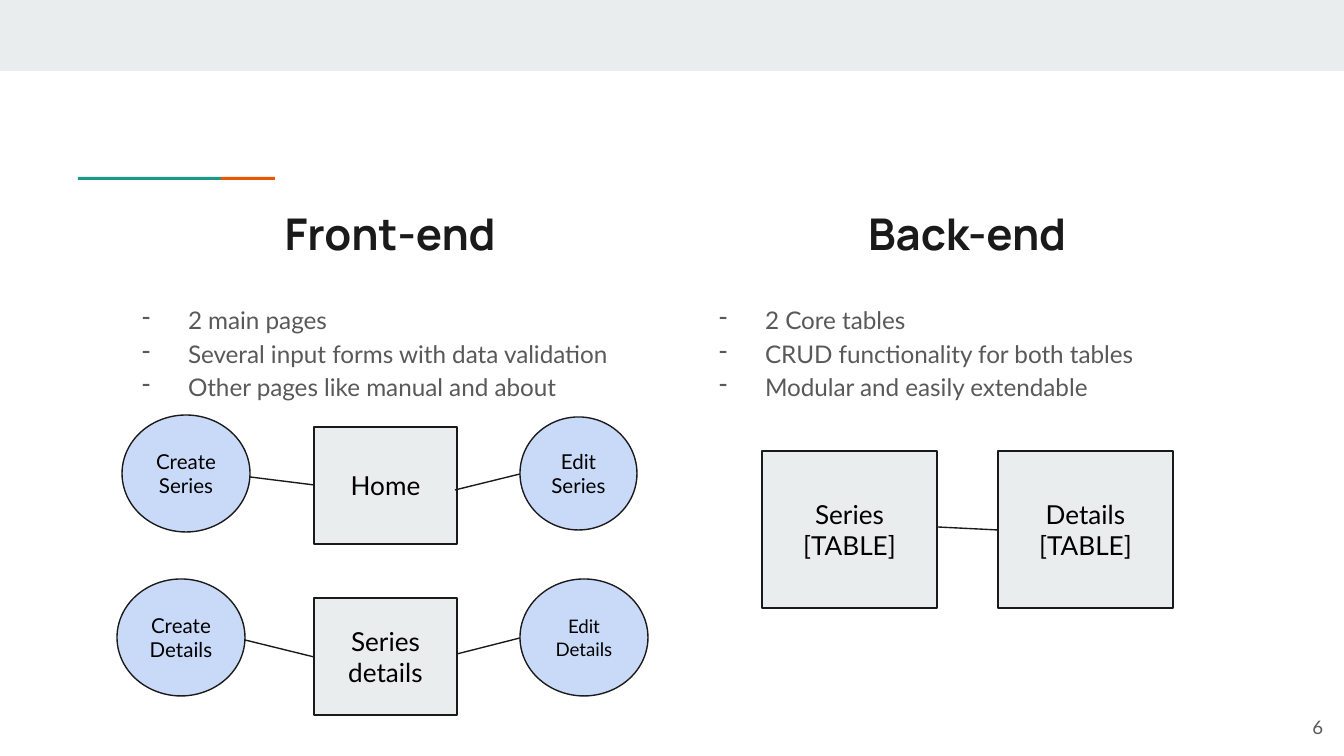
"""Build the front-end and back-end overview slide."""
from lxml.etree import SubElement
from pptx import Presentation
from pptx.dml.color import RGBColor
from pptx.enum.shapes import MSO_CONNECTOR, MSO_SHAPE
from pptx.enum.text import MSO_ANCHOR, PP_ALIGN
from pptx.oxml.ns import qn
from pptx.util import Pt

PX = 914400 / 134.4
INSET = 13
COLORS = {
    "band": "E9EDEE",
    "teal": "1A9988",
    "orange": "EB5600",
    "ink": "1A1A1A",
    "body": "595959",
    "label": "000000",
    "bubble": "C9DAF8",
}


def add_block(kind, bounds, fill=None, outlined=False):
    left, top, width, height = [round(value * PX) for value in bounds]
    if kind is None:
        return page.shapes.add_textbox(left, top, width, height)
    block = page.shapes.add_shape(kind, left, top, width, height)
    block.shadow.inherit = False
    block.fill.solid()
    block.fill.fore_color.rgb = RGBColor.from_string(COLORS[fill])
    if outlined:
        block.line.color.rgb = RGBColor.from_string(COLORS["ink"])
        block.line.width = Pt(0.75)
    else:
        block.line.fill.background()
    return block


def write(box, lines, size, color, align, anchor=MSO_ANCHOR.MIDDLE, font="Lato", bold=False):
    frame = box.text_frame
    frame.word_wrap = True
    frame.vertical_anchor = anchor
    frame.margin_left = frame.margin_right = round(INSET * PX)
    frame.margin_top = frame.margin_bottom = round(INSET * PX)
    for index, line in enumerate(lines):
        para = frame.add_paragraph() if index else frame.paragraphs[0]
        para.alignment = align
        span = para.add_run()
        span.text = line
        span.font.name = font
        span.font.size = Pt(size)
        span.font.bold = bold
        span.font.color.rgb = RGBColor.from_string(COLORS[color])
    return frame.paragraphs


deck = Presentation()
deck.slide_width = round(1344 * PX)
deck.slide_height = round(756 * PX)
page = deck.slides.add_slide(deck.slide_layouts[6])

strips = [
    ((0, 0, 1344, 71), "band"),
    ((221, 177, 54, 3), "orange"),
    ((78, 177, 143, 3), "teal"),
]
for bounds, fill in strips:
    add_block(MSO_SHAPE.RECTANGLE, bounds, fill)

columns = [
    (108, "Front-end", [
        "2 main pages",
        "Several input forms with data validation",
        "Other pages like manual and about",
    ]),
    (685, "Back-end", [
        "2 Core tables",
        "CRUD functionality for both tables",
        "Modular and easily extendable",
    ]),
]
for left, heading, points in columns:
    title = add_block(None, (left, 194, 564, 79))
    write(title, [heading], 23.4, "ink", PP_ALIGN.CENTER, MSO_ANCHOR.TOP, "Manrope", True)
    body = add_block(None, (left, 288, 564, 140))
    for para in write(body, points, 13, "body", PP_ALIGN.LEFT, MSO_ANCHOR.TOP):
        para.line_spacing = 1.15
        properties = para._p.get_or_add_pPr()
        properties.set("marL", str(round(67 * PX)))
        properties.set("indent", str(round(-46 * PX)))
        bullet_color = SubElement(properties, qn("a:buClr"))
        SubElement(bullet_color, qn("a:srgbClr"), val=COLORS["body"])
        SubElement(properties, qn("a:buChar"), char="-")

boxes = [
    ((762, 451, 175, 157), ["Series", "[TABLE]"]),
    ((998, 451, 175, 157), ["Details", "[TABLE]"]),
    ((314, 427, 143, 117), ["Home"]),
    ((314, 598, 143, 117), ["Series details"]),
]
for bounds, lines in boxes:
    box = add_block(MSO_SHAPE.RECTANGLE, bounds, "band", True)
    write(box, lines, 14, "label", PP_ALIGN.CENTER)

bubbles = [
    ((520, 417, 117, 113), "Edit Series", 11),
    ((520, 579, 128, 117), "Edit Details", 10),
    ((122, 415, 128, 117), "Create Series", 11),
    ((117, 579, 128, 117), "Create Details", 11),
]
for bounds, label, size in bubbles:
    bubble = add_block(MSO_SHAPE.OVAL, bounds, "bubble", True)
    write(bubble, [label], size, "label", PP_ALIGN.CENTER)

links = [
    (937, 527, 998, 530),
    (250, 477, 314, 485),
    (455, 490, 520, 474),
    (457, 654, 520, 638),
    (245, 640, 314, 657),
]
for ends in links:
    link = page.shapes.add_connector(MSO_CONNECTOR.STRAIGHT, *[round(end * PX) for end in ends])
    link.line.color.rgb = RGBColor.from_string(COLORS["ink"])
    link.line.width = Pt(0.75)
    SubElement(link._element.spPr, qn("a:effectLst"))

number = add_block(None, (1255, 698, 81, 58))
write(number, ["6"], 10, "body", PP_ALIGN.RIGHT)

deck.save("out.pptx")
